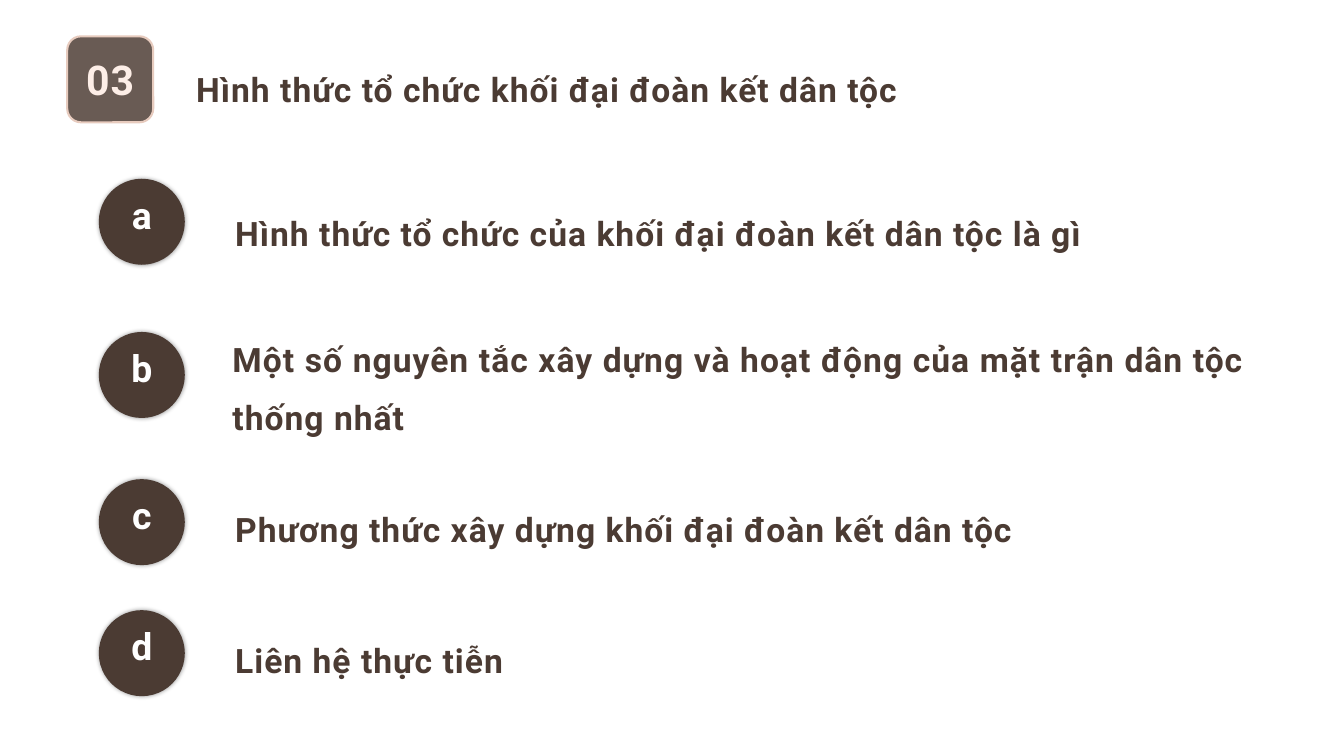
"""Build an agenda slide: a numbered heading and four lettered points."""
from lxml import etree
from pptx import Presentation, util as u
from pptx.dml.color import RGBColor
from pptx.enum import shapes, text
from pptx.oxml.ns import qn

WIDTH, HEIGHT = 20, 11.25
BROWN, TAUPE, PEACH, CREAM, WHITE = "4B3B33", "695B54", "E7CBBE", "FDEEE7", "FFFFFF"
FONT = "Roboto"
MARK = 1.28
MARK_LEFT = 1.47
TEXT_WIDTH = 15.07

NUMBER = "03"
HEADING = "Hình thức tổ chức khối đại đoàn kết dân tộc"
# letter, wording, circle top, text left, text top, text height, line spacing
POINTS = [
    ("a", "Hình thức tổ chức của khối đại đoàn kết dân tộc là gì", 2.66, 3.5, 2.91, 0.78, 61.6),
    ("b", "Một số nguyên tắc xây dựng và hoạt động của mặt trận dân tộc thống nhất",
     4.94, 3.46, 4.79, 1.67, 61.6),
    ("c", "Phương thức xây dựng khối đại đoàn kết dân tộc", 7.13, 3.5, 7.36, 0.75, 58.8),
    ("d", "Liên hệ thực tiễn", 9.08, 3.5, 9.31, 0.75, 58.8),
]


def color(value):
    return RGBColor.from_string(value)


def write(shape, words, size=36, ink=BROWN, align=text.PP_ALIGN.LEFT,
          anchor=text.MSO_ANCHOR.TOP, leading=61.6, tracking=1.1, bottom=0):
    frame = shape.text_frame
    frame.word_wrap = True
    frame.vertical_anchor = anchor
    frame.margin_left = frame.margin_right = frame.margin_top = 0
    frame.margin_bottom = u.Inches(bottom)
    paragraph = frame.paragraphs[0]
    paragraph.alignment = align
    paragraph.line_spacing = u.Pt(leading)
    run = paragraph.add_run()
    run.text = words
    run.font.name, run.font.size, run.font.bold = FONT, u.Pt(size), True
    run.font.color.rgb = color(ink)
    run.font._element.set("spc", str(round(tracking * 100)))


def add_text(slide, words, left, top, width, height, **style):
    box = slide.shapes.add_textbox(*map(u.Inches, (left, top, width, height)))
    write(box, words, **style)


def add_mark(slide, kind, words, left, top, fill, **style):
    shape = slide.shapes.add_shape(kind, *map(u.Inches, (left, top, MARK, MARK)))
    shape.shadow.inherit = False
    shape.fill.solid()
    shape.fill.fore_color.rgb = color(fill)
    shape.line.fill.background()
    write(shape, words, align=text.PP_ALIGN.CENTER, anchor=text.MSO_ANCHOR.MIDDLE, **style)
    return shape


def add_glow_shadow(shape):
    effects = shape._element.spPr.find(qn("a:effectLst"))
    shadow = etree.SubElement(effects, qn("a:outerShdw"), blurRad=str(u.Pt(5)),
                              dist="0", dir="0", algn="ctr", rotWithShape="0")
    black = etree.SubElement(shadow, qn("a:srgbClr"), val="000000")
    etree.SubElement(black, qn("a:alpha"), val="40000")


def main():
    presentation = Presentation()
    presentation.slide_width, presentation.slide_height = u.Inches(WIDTH), u.Inches(HEIGHT)
    slide = presentation.slides.add_slide(presentation.slide_layouts[6])

    badge = add_mark(slide, shapes.MSO_SHAPE.ROUNDED_RECTANGLE, NUMBER, 1, 0.54, TAUPE,
                     size=44, ink=CREAM, bottom=0.12)
    badge.adjustments[0] = 0.16
    badge.line.color.rgb = color(PEACH)
    badge.line.width = u.Pt(2.25)
    add_text(slide, HEADING, 2.92, 0.77, 12.45, 0.78)

    for letter, words, mark_top, left, top, height, leading in POINTS:
        circle = add_mark(slide, shapes.MSO_SHAPE.OVAL, letter, MARK_LEFT, mark_top, BROWN,
                          size=40, ink=WHITE, leading=31.6, tracking=0.6)
        add_glow_shadow(circle)
        add_text(slide, words, left, top, TEXT_WIDTH, height,
                 align=text.PP_ALIGN.JUSTIFY, leading=leading)

    presentation.save("out.pptx")


if __name__ == "__main__":
    main()
